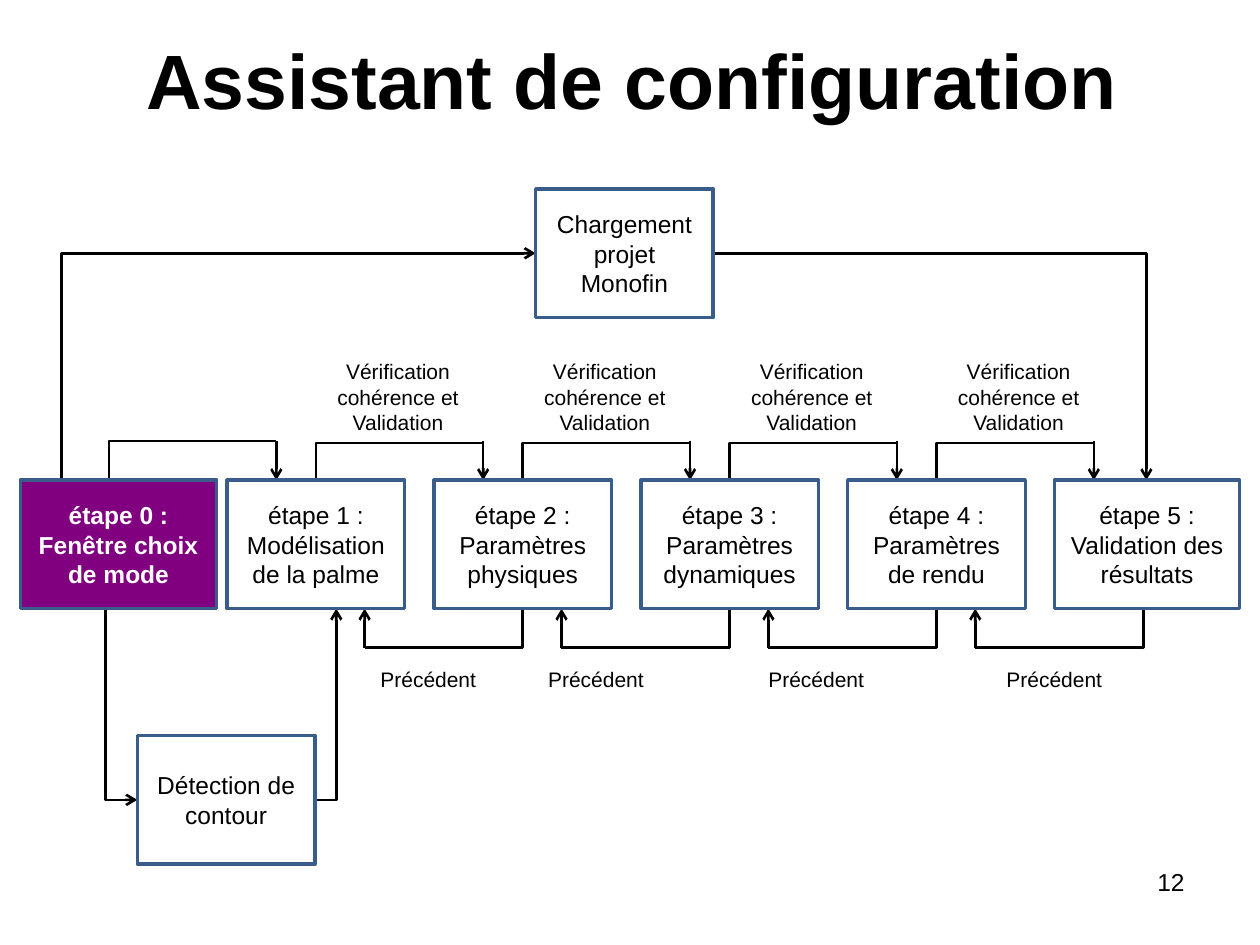
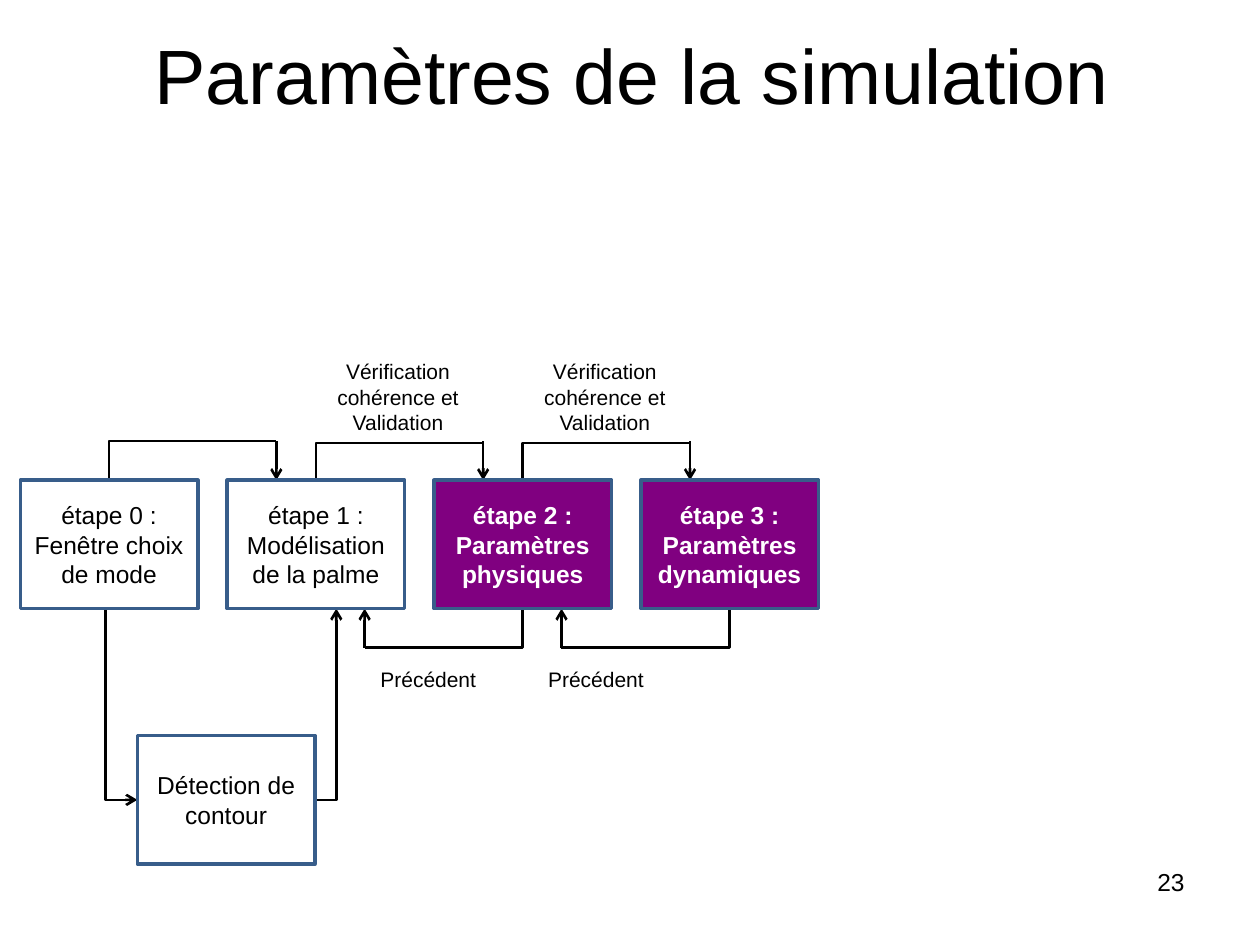
from lxml import etree
from pptx import Presentation
from pptx.dml.color import RGBColor
from pptx.enum import shapes, text
from pptx.oxml.ns import qn
from pptx.util import Cm, Pt

COLORS = {"text": "000000", "white": "FFFFFF", "border": "385D8A", "active": "800080"}
FONT = "Arial"

BOX_W, BOX_H = 3.58, 2.59
STEP_LEFT, STEP_TOP, STEP_PITCH = 0.41, 9.68, 4.17
STEP_BOTTOM = STEP_TOP + BOX_H
BACK_Y = 13.06
DETECTION_LEFT, DETECTION_TOP = 2.77, 14.83
LOADING_LEFT, LOADING_TOP = 10.8, 3.81

STEPS = [
    "étape 0 :\nFenêtre choix de mode",
    "étape 1 : Modélisation de la palme",
    "étape 2 :\nParamètres physiques",
    "étape 3 :\nParamètres dynamiques",
    "étape 4 :\nParamètres de rendu",
    "étape 5 :\nValidation des résultats",
]
BACK_LABEL_LEFTS = [7.42, 10.8, 15.24, 20.04]


def color(name):
    return RGBColor.from_string(COLORS[name])


def step_left(i):
    return STEP_LEFT + i * STEP_PITCH


def step_center(i):
    return step_left(i) + BOX_W / 2


def write(sp, content, size, align, fill="text", bold=False):
    tf = sp.text_frame
    tf.word_wrap = True
    tf.text = content
    for p in tf.paragraphs:
        p.alignment = align
        p.font.name = FONT
        p.font.size = Pt(size)
        p.font.bold = bold
        p.font.color.rgb = color(fill)


def add_titled_slide(prs, title, number, bold=False):
    slide = prs.slides.add_slide(prs.slide_layouts[5])
    sp = slide.shapes.title
    sp.left, sp.top, sp.width, sp.height = Cm(1.95), Cm(0), Cm(21.59), Cm(3.18 if bold else 2.97)
    write(sp, title, 44, text.PP_ALIGN.CENTER, bold=bold)
    sp.text_frame.vertical_anchor = text.MSO_ANCHOR.MIDDLE
    add_label(slide, str(number), 18.21, 17.35, 5.92, 1.32, 14, text.PP_ALIGN.RIGHT)
    return slide


def add_label(slide, content, left, top, width, height, size=12, align=text.PP_ALIGN.CENTER):
    sp = slide.shapes.add_textbox(Cm(left), Cm(top), Cm(width), Cm(height))
    write(sp, content, size, align)


def add_box(slide, content, left, top, width=BOX_W, active=False):
    sp = slide.shapes.add_shape(
        shapes.MSO_SHAPE.RECTANGLE, Cm(left), Cm(top), Cm(width), Cm(BOX_H))
    sp.shadow.inherit = False
    sp.fill.solid()
    sp.fill.fore_color.rgb = color("active" if active else "white")
    sp.line.color.rgb = color("border")
    sp.line.width = Pt(2)
    write(sp, content, 14, text.PP_ALIGN.CENTER, "white" if active else "text", active)
    sp.text_frame.vertical_anchor = text.MSO_ANCHOR.MIDDLE


def add_line(slide, start, end, arrow=None, kind=shapes.MSO_CONNECTOR.STRAIGHT):
    """Draw a black connector; arrow is "headEnd" (at start) or "tailEnd" (at end)."""
    c = slide.shapes.add_connector(kind, *map(Cm, start + end))
    c.line.color.rgb = color("text")
    c.line.width = Pt(1.5)
    if arrow:
        etree.SubElement(c.line._get_or_add_ln(), qn("a:" + arrow), type="arrow")
    etree.SubElement(c._element.spPr, qn("a:effectLst"))
    return c


def add_elbow(slide, start, end, arrow=None):
    """Connect two points with one corner, leaving start horizontally."""
    c = add_line(slide, start, end, arrow, shapes.MSO_CONNECTOR.ELBOW)
    c._element.spPr.find(qn("a:prstGeom")).set("prst", "bentConnector2")


def add_forward_link(slide, i):
    """Link step i to the next one, above the boxes."""
    x = step_left(i + 1) + (0.79 if i == 4 else 0.99)
    y = 8.93 if i else 8.89
    add_elbow(slide, (x, y), (step_center(i), STEP_TOP))
    add_line(slide, (x, 8.89), (x, STEP_TOP), "tailEnd")
    if i:
        add_label(slide, "Vérification cohérence et Validation",
                  5.94 + (i - 1) * STEP_PITCH, 7.11, STEP_PITCH, 1.78)


def add_back_link(slide, i):
    """Link step i to the previous one, below the boxes."""
    x = step_left(i - 1) + (2.77 if i == 2 else 2.57)
    add_elbow(slide, (x, BACK_Y), (step_center(i), STEP_BOTTOM))
    add_line(slide, (x, BACK_Y), (x, STEP_BOTTOM), "tailEnd")
    add_label(slide, "Précédent", BACK_LABEL_LEFTS[i - 2], 13.31, 3, 0.76,
              align=text.PP_ALIGN.LEFT)


def add_detection(slide):
    middle = DETECTION_TOP + BOX_H / 2
    add_elbow(slide, (DETECTION_LEFT, middle), (2.13, STEP_BOTTOM), "headEnd")
    add_elbow(slide, (DETECTION_LEFT + BOX_W, middle), (6.78, STEP_BOTTOM), "tailEnd")
    add_box(slide, "Détection de contour", DETECTION_LEFT, DETECTION_TOP)


def add_loading(slide):
    middle = LOADING_TOP + BOX_H / 2
    add_elbow(slide, (LOADING_LEFT, middle), (1.24, STEP_TOP), "headEnd")
    add_elbow(slide, (LOADING_LEFT + BOX_W, middle), (23.11, STEP_TOP), "tailEnd")
    add_box(slide, "Chargement projet Monofin", LOADING_LEFT, LOADING_TOP)


def add_workflow(slide, count, active, widths):
    """Draw the first count steps; widths holds the boxes wider than usual."""
    for i in range(count - 1):
        add_forward_link(slide, i)
    for i in range(2, count):
        add_back_link(slide, i)
    add_detection(slide)
    for i, step in enumerate(STEPS[:count]):
        add_box(slide, step, step_left(i), STEP_TOP, widths.get(i, BOX_W), i in active)


def main():
    prs = Presentation()
    prs.slide_width, prs.slide_height = Cm(25.4), Cm(19.05)

    slide = add_titled_slide(prs, "Assistant de configuration", 12, bold=True)
    add_loading(slide)
    add_workflow(slide, 6, {0}, {0: 3.96, 5: 3.73})

    slide = add_titled_slide(prs, "Paramètres de la simulation", 23)
    add_workflow(slide, 4, {2, 3}, {})

    prs.save("out.pptx")


if __name__ == "__main__":
    main()
